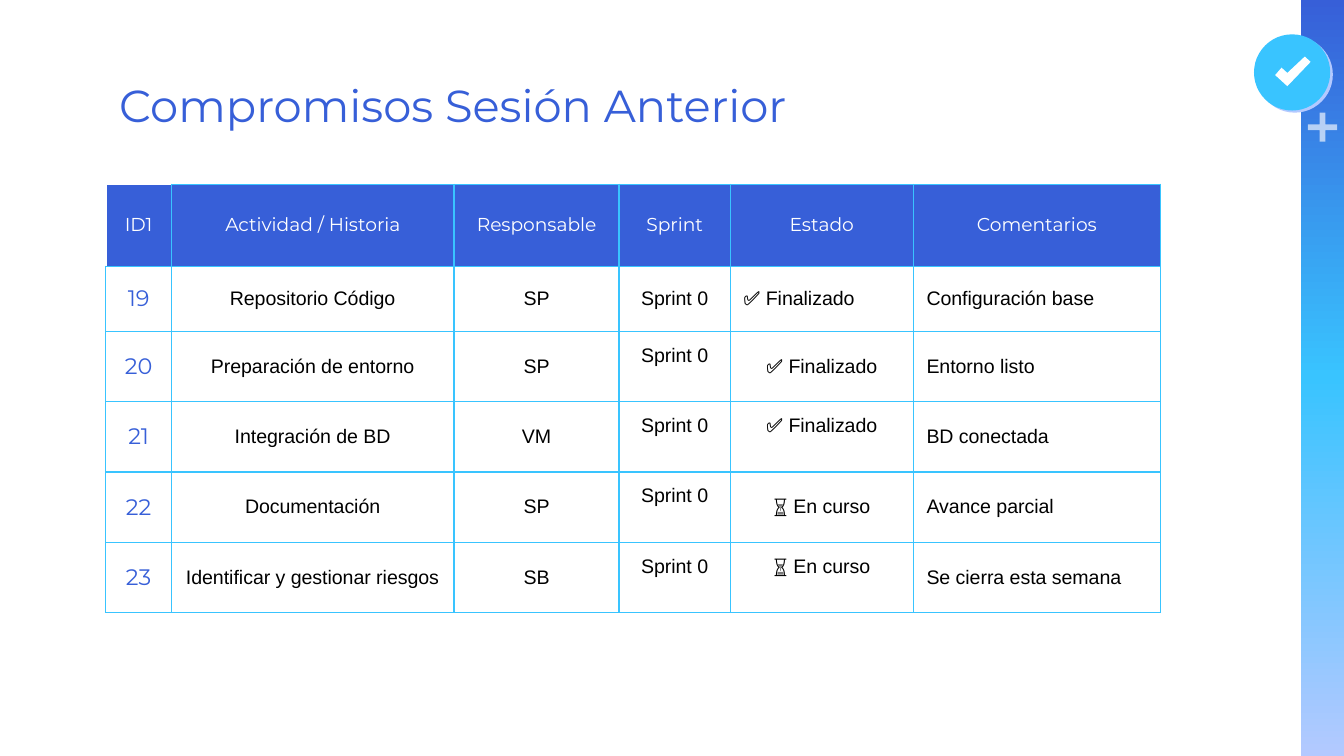
"""Build the slide that tracks the commitments of the previous session."""
from copy import deepcopy

from lxml import etree
from pptx import Presentation
from pptx.dml.color import RGBColor
from pptx.enum.shapes import MSO_SHAPE
from pptx.enum.text import MSO_ANCHOR, PP_ALIGN
from pptx.oxml.ns import qn
from pptx.util import Cm, Pt

BLUE = RGBColor(0x37, 0x5F, 0xD8)
CYAN = RGBColor(0x39, 0xC4, 0xFF)
PALE = RGBColor(0xB3, 0xC9, 0xFF)
WHITE = RGBColor(0xFF, 0xFF, 0xFF)
BLACK = RGBColor(0x00, 0x00, 0x00)

LEFT, CENTER = PP_ALIGN.LEFT, PP_ALIGN.CENTER
TOP, MIDDLE = MSO_ANCHOR.TOP, MSO_ANCHOR.MIDDLE
RECTANGLE, OVAL, CROSS = MSO_SHAPE.RECTANGLE, MSO_SHAPE.OVAL, MSO_SHAPE.CROSS

HEADING_FONT, BODY_FONT = "Montserrat", "Arial"
INSET = Cm(0.25)
WIDTH, HEIGHT = 25.4, 14.29

COLUMN_WIDTHS = [1.24, 5.34, 3.12, 2.1, 3.46, 4.67]
ROW_HEIGHTS = [1.55, 1.23] + [1.33] * 4
ID, STATUS, COMMENT, SPRINT = 0, 4, 5, 3
COMMITMENTS = [
    ["ID1", "Actividad / Historia", "Responsable", "Sprint", "Estado", "Comentarios"],
    ["19", "Repositorio Código", "SP", "Sprint 0", "✅ Finalizado", "Configuración base"],
    ["20", "Preparación de entorno", "SP", "Sprint 0", "✅ Finalizado", "Entorno listo"],
    ["21", "Integración de BD", "VM", "Sprint 0", "✅ Finalizado", "BD conectada"],
    ["22", "Documentación", "SP", "Sprint 0", "⏳ En curso", "Avance parcial"],
    ["23", "Identificar y gestionar riesgos", "SB", "Sprint 0", "⏳ En curso", "Se cierra esta semana"],
]
RAISED = {(row, SPRINT) for row in range(2, 6)} | {(3, STATUS), (5, STATUS)}
CHECK_POINTS = [(24.66, 1.07), (24.33, 1.38), (24.22, 1.28),
                (24.1, 1.42), (24.33, 1.63), (24.77, 1.17)]


def write(frame, text, size=10.5, font=BODY_FONT, color=BLACK, align=LEFT):
    paragraph = frame.paragraphs[0]
    paragraph.alignment = align
    run = paragraph.add_run()
    run.text = text
    run.font.size = Pt(size)
    run.font.name = font
    run.font.color.rgb = color


def set_borders(cell, sides, color=CYAN, width=0.75):
    properties = cell._tc.get_or_add_tcPr()
    for side in sides:
        line = etree.SubElement(properties, qn(f"a:ln{side}"), w=str(Pt(width)))
        fill = etree.SubElement(line, qn("a:solidFill"))
        etree.SubElement(fill, qn("a:srgbClr"), val=str(color))


class SlideBuilder:
    def __init__(self, presentation):
        self.slide = presentation.slides.add_slide(presentation.slide_layouts[5])
        self.shapes = self.slide.shapes

    def paint(self, shape, color, opacity=None):
        shape.shadow.inherit = False
        shape.line.fill.background()
        shape.fill.solid()
        shape.fill.fore_color.rgb = color
        if opacity is not None:
            tint = shape._element.spPr.find(qn("a:solidFill"))[0]
            etree.SubElement(tint, qn("a:alpha"), val=str(opacity * 1000))

    def preset(self, kind, left, top, width, height, color, opacity=None):
        shape = self.shapes.add_shape(kind, Cm(left), Cm(top), Cm(width), Cm(height))
        self.paint(shape, color, opacity)
        return shape

    def gradient_band(self, left, top, width, height, colors):
        band = self.preset(RECTANGLE, left, top, width, height, colors[0])
        band.fill.gradient()
        band.fill.gradient_angle = 270
        stops = band._element.spPr.find(qn("a:gradFill")).find(qn("a:gsLst"))
        while len(stops) < len(colors):
            stops.append(deepcopy(stops[0]))
        for index, (stop, color) in enumerate(zip(band.fill.gradient_stops, colors)):
            stop.color.rgb = color
            stop.position = index / (len(colors) - 1)

    def outline(self, points, color):
        start, *rest = [(Cm(x), Cm(y)) for x, y in points]
        builder = self.shapes.build_freeform(*start)
        builder.add_line_segments(rest, close=True)
        self.paint(builder.convert_to_shape(), color)

    def title(self, text, left, top, width, height):
        title = self.shapes.title
        title.left, title.top = Cm(left), Cm(top)
        title.width, title.height = Cm(width), Cm(height)
        frame = title.text_frame
        frame.vertical_anchor = MIDDLE
        frame.margin_left = frame.margin_right = INSET
        frame.margin_top = frame.margin_bottom = INSET
        write(frame, text, size=24, font=HEADING_FONT, color=BLUE)

    def table(self, rows, left, top):
        table = self.shapes.add_table(
            len(rows), len(COLUMN_WIDTHS), Cm(left), Cm(top),
            Cm(sum(COLUMN_WIDTHS)), Cm(sum(ROW_HEIGHTS))).table
        table.first_row = table.horz_banding = False
        for column, width in zip(table.columns, COLUMN_WIDTHS):
            column.width = Cm(width)
        for row, height in zip(table.rows, ROW_HEIGHTS):
            row.height = Cm(height)
        for r, texts in enumerate(rows):
            for c, text in enumerate(texts):
                self.table_cell(table.cell(r, c), r, c, text)

    def table_cell(self, cell, row, column, text):
        cell.margin_left = cell.margin_right = INSET
        cell.margin_top = cell.margin_bottom = INSET
        cell.vertical_anchor = TOP if (row, column) in RAISED else MIDDLE
        set_borders(cell, "RB" if (row, column) == (0, ID) else "LRTB")
        if row == 0:
            cell.fill.solid()
            cell.fill.fore_color.rgb = BLUE
            style = {"size": 10, "font": HEADING_FONT, "color": WHITE}
        else:
            cell.fill.background()
            style = {"size": 12, "font": HEADING_FONT, "color": BLUE} if column == ID else {}
        flush_left = row > 0 and column == COMMENT or (row, column) == (1, STATUS)
        write(cell.text_frame, text, align=LEFT if flush_left else CENTER, **style)


def main():
    presentation = Presentation()
    presentation.slide_width, presentation.slide_height = Cm(WIDTH), Cm(HEIGHT)
    builder = SlideBuilder(presentation)
    builder.gradient_band(24.59, 0, 0.81, HEIGHT, [BLUE, CYAN, PALE])
    builder.preset(OVAL, 23.75, 0.69, 1.44, 1.44, PALE)
    builder.preset(OVAL, 23.7, 0.65, 1.44, 1.44, CYAN)
    builder.outline(CHECK_POINTS, WHITE)
    plus = builder.preset(CROSS, 24.72, 2.13, 0.55, 0.55, WHITE, opacity=64)
    plus.adjustments[0] = 0.4
    builder.title("Compromisos Sesión Anterior", 2, 1.17, 21.41, 1.63)
    builder.table(COMMITMENTS, 2, 3.48)
    presentation.save("out.pptx")


if __name__ == "__main__":
    main()
